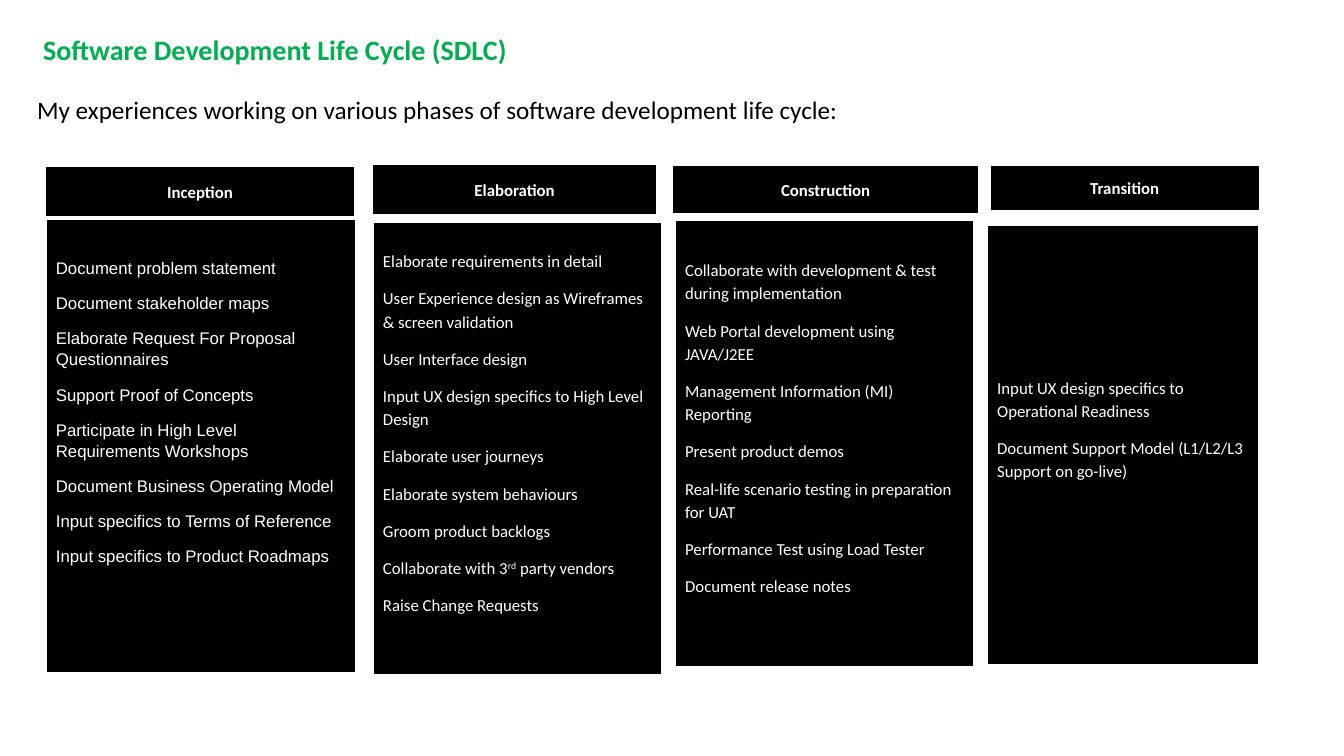
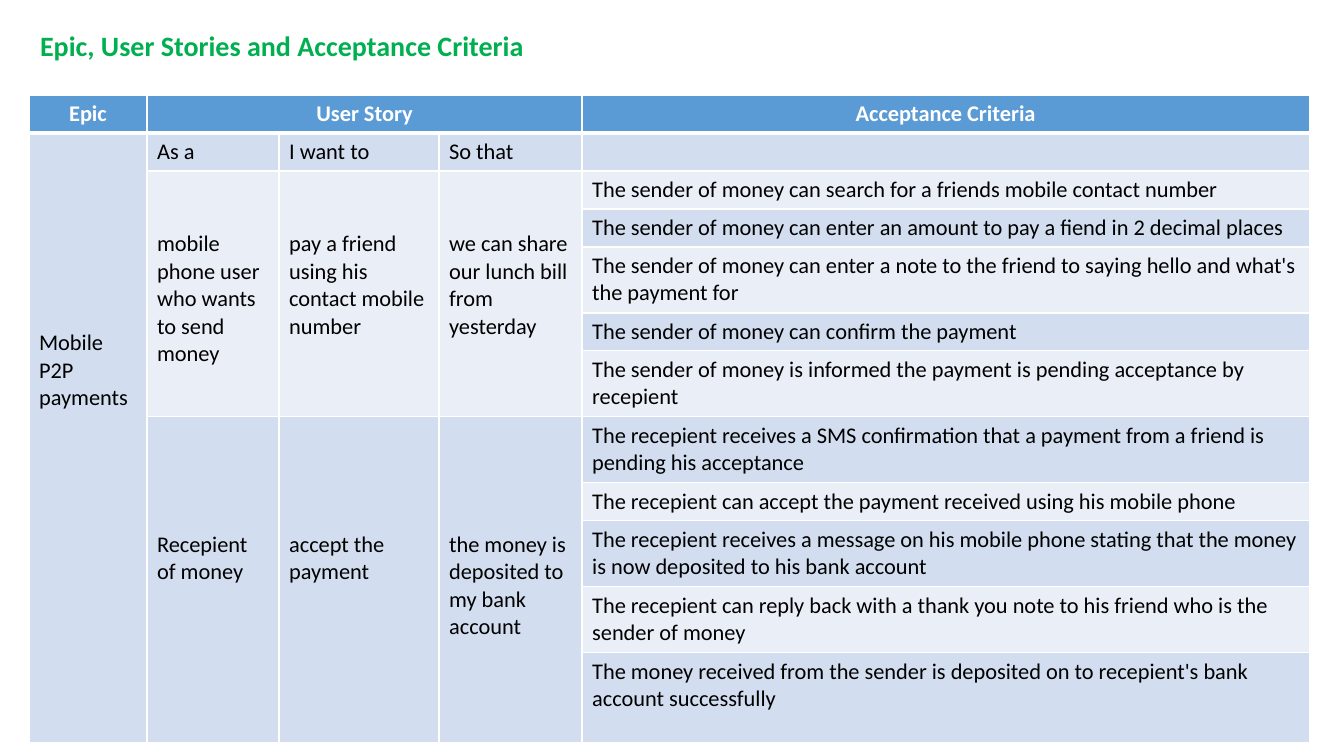
from pptx import Presentation
from pptx.dml.color import RGBColor
from pptx.enum.shapes import MSO_SHAPE
from pptx.enum.text import MSO_ANCHOR, MSO_AUTO_SIZE, PP_ALIGN
from pptx.oxml.ns import qn
from pptx.util import Inches, Pt
from lxml import etree

RECT = MSO_SHAPE.RECTANGLE
LEFT, MID = PP_ALIGN.LEFT, PP_ALIGN.CENTER
CENTRE = MSO_ANCHOR.MIDDLE
FIXED = MSO_AUTO_SIZE.NONE
SCALE = 914400 / 100.8
INSET = 5
LINE = 27.34
FONT = "Calibri"
HUES = {
    "green": "00B050", "black": "000000", "white": "FFFFFF",
    "blue": "5B9BD5", "dark": "D2DEEF", "light": "EAEFF7",
}


def px(n):
    return round(n * SCALE)


def hue(name):
    return RGBColor.from_string(HUES[name])


class Deck:
    def __init__(self):
        self.prs = Presentation()
        self.prs.slide_width = Inches(13.33)
        self.prs.slide_height = Inches(7.5)
        self.slide = None

    def page(self, layout, title, box):
        self.slide = self.prs.slides.add_slide(self.prs.slide_layouts[layout])
        frame = self.place(self.slide.shapes.title, box)
        frame.vertical_anchor = CENTRE
        self.label(frame.paragraphs[0], title, 20, "green", bold=True, lead=0.9)

    def place(self, holder, box):
        holder.left, holder.top, holder.width, holder.height = map(px, box)
        frame = holder.text_frame
        frame.word_wrap = True
        frame.auto_size = FIXED
        return frame

    def label(self, para, text, size, color, bold=False, align=LEFT,
              lead=None, after=None, font=FONT):
        for i, part in enumerate(text.split("^")):
            run = para.add_run()
            run.text = part
            if i % 2:
                run.font._element.set("baseline", "30000")
        para.alignment = align
        if lead:
            para.line_spacing = lead
        if after:
            para.space_after = Pt(after)
        style = para.font
        style.name, style.size, style.bold = font, Pt(size), bold
        style.color.rgb = hue(color)

    def body(self, text, box):
        para = self.place(self.slide.placeholders[1], box).paragraphs[0]
        self.label(para, text, 18, "black", lead=0.9)
        para.space_before = Pt(10)
        props = para._p.get_or_add_pPr()
        props.set("marL", "0")
        props.set("indent", "0")
        bullet = etree.Element(qn("a:buNone"))
        props.insert_element_before(bullet, "a:defRPr")

    def block(self, box, lines, foot=0, **style):
        shape = self.slide.shapes.add_shape(RECT, *map(px, box))
        shape.shadow.inherit = False
        shape.fill.solid()
        shape.fill.fore_color.rgb = hue("black")
        shape.line.color.rgb = hue("white")
        shape.line.width = Pt(1)
        frame = shape.text_frame
        frame.word_wrap = True
        frame.vertical_anchor = CENTRE
        frame.margin_bottom = px(INSET + foot)
        for i, line in enumerate(lines):
            para = frame.add_paragraph() if i else frame.paragraphs[0]
            self.label(para, line, 12, "white", **style)

    def grid(self, left, top, cols, rows):
        frame = self.slide.shapes.add_table(
            len(rows), len(cols), px(left), px(top), px(sum(cols)), px(sum(rows)))
        table = frame.table
        for col, width in zip(table.columns, cols):
            col.width = px(width)
        for r, height in enumerate(rows):
            table.rows[r].height = px(height)
            for c in range(len(cols)):
                self.paint(table.cell(r, c), r)
        return table

    def paint(self, cell, r):
        props = cell._tc.get_or_add_tcPr()
        thick = {"T": 3 if r == 1 else 1, "B": 3 if r == 0 else 1}
        for side in "LRTB":
            width = Pt(thick.get(side, 1))
            edge = etree.SubElement(props, qn("a:ln" + side), w=str(int(width)))
            fill = etree.SubElement(edge, qn("a:solidFill"))
            etree.SubElement(fill, qn("a:srgbClr"), val=HUES["white"])
        cell.fill.solid()
        shade = "blue" if r == 0 else "dark" if r % 2 else "light"
        cell.fill.fore_color.rgb = hue(shade)
        cell.margin_top = cell.margin_bottom = 0

    def cell(self, table, r, c, text, skip=0, down=1, wide=1):
        cell = table.cell(r, c)
        if down * wide > 1:
            cell.merge(table.cell(r + down - 1, c + wide - 1))
        cell.margin_top = px(INSET + skip * LINE)
        cell.margin_bottom = px(INSET)
        head = r == 0
        self.label(cell.text_frame.paragraphs[0], text, 16,
                   "white" if head else "black", bold=head,
                   align=MID if head else LEFT)


PHASES = [
    ("Inception", (45, 166, 310, 51), (46, 219, 310, 454), 69, 1.05, "Arial", [
        "Document problem statement",
        "Document stakeholder maps",
        "Elaborate Request For Proposal Questionnaires",
        "Support Proof of Concepts",
        "Participate in High Level Requirements Workshops",
        "Document Business Operating Model",
        "Input specifics to Terms of Reference",
        "Input specifics to Product Roadmaps",
    ]),
    ("Elaboration", (372, 164, 285, 51), (373, 222, 289, 453), 34, 1.15, FONT, [
        "Elaborate requirements in detail",
        "User Experience design as Wireframes & screen validation",
        "User Interface design",
        "Input UX design specifics to High Level Design",
        "Elaborate user journeys",
        "Elaborate system behaviours",
        "Groom product backlogs",
        "Collaborate with 3^rd^ party vendors",
        "Raise Change Requests",
    ]),
    ("Construction", (672, 165, 307, 49), (675, 220, 298, 447), 34, 1.15, FONT, [
        "Collaborate with development & test during implementation",
        "Web Portal development using JAVA/J2EE",
        "Management Information (MI) Reporting",
        "Present product demos",
        "Real-life scenario testing in preparation for UAT",
        "Performance Test using Load Tester",
        "Document release notes",
    ]),
    ("Transition", (990, 165, 269, 46), (987, 225, 271, 440), 34, 1.15, FONT, [
        "Input UX design specifics to Operational Readiness",
        "Document Support Model (L1/L2/L3 Support on go-live)",
    ]),
]
STORIES = [
    (2, 2, ["mobile phone user who wants to send money",
            "pay a friend using his contact mobile number",
            "we can share our lunch bill from yesterday"]),
    (7, 4, ["Recepient of money",
            "accept the payment",
            "the money is deposited to my bank account"]),
]
TESTS = [
    "The sender of money can search for a friends mobile contact number",
    "The sender of money can enter an amount to pay a fiend in 2 decimal places",
    "The sender of money can enter a note to the friend to saying hello and "
    "what's the payment for",
    "The sender of money can confirm the payment",
    "The sender of money is informed the payment is pending acceptance by recepient",
    "The recepient receives a SMS confirmation that a payment from a friend is "
    "pending his acceptance",
    "The recepient can accept the payment received using his mobile phone",
    "The recepient receives a message on his mobile phone stating that the money "
    "is now deposited to his bank account",
    "The recepient can reply back with a thank you note to his friend who is the "
    "sender of money",
    "The money received from the sender is deposited on to recepient's bank "
    "account successfully",
]

deck = Deck()

deck.page(1, "Software Development Life Cycle (SDLC)", (33, 19, 1282, 65))
deck.body("My experiences working on various phases of software development life cycle:",
          (27, 93, 1225, 589))
for name, head, box, foot, lead, font, tasks in PHASES:
    deck.block(box, tasks, foot, lead=lead, after=10, font=font)
    deck.block(head, [name], bold=True, align=MID)

deck.page(5, "Epic, User Stories and Acceptance Criteria", (30, 11, 1277, 72))
ONE, TWO = 38, 66
table = deck.grid(29, 95, [118, 132, 160, 143, 727],
                  [ONE] * 4 + [TWO, ONE, TWO, TWO, ONE, TWO, TWO, 90])
deck.cell(table, 0, 0, "Epic")
deck.cell(table, 0, 1, "User Story", wide=3)
deck.cell(table, 0, 4, "Acceptance Criteria")
deck.cell(table, 1, 0, "Mobile P2P payments", skip=7, down=11)
for c, text in enumerate(["As a", "I want to", "So that"], 1):
    deck.cell(table, 1, c, text)
for r, skip, parts in STORIES:
    for c, text in enumerate(parts, 1):
        deck.cell(table, r, c, text, skip=skip, down=5)
for r, text in enumerate(TESTS, 2):
    deck.cell(table, r, 4, text)

deck.prs.save("out.pptx")
